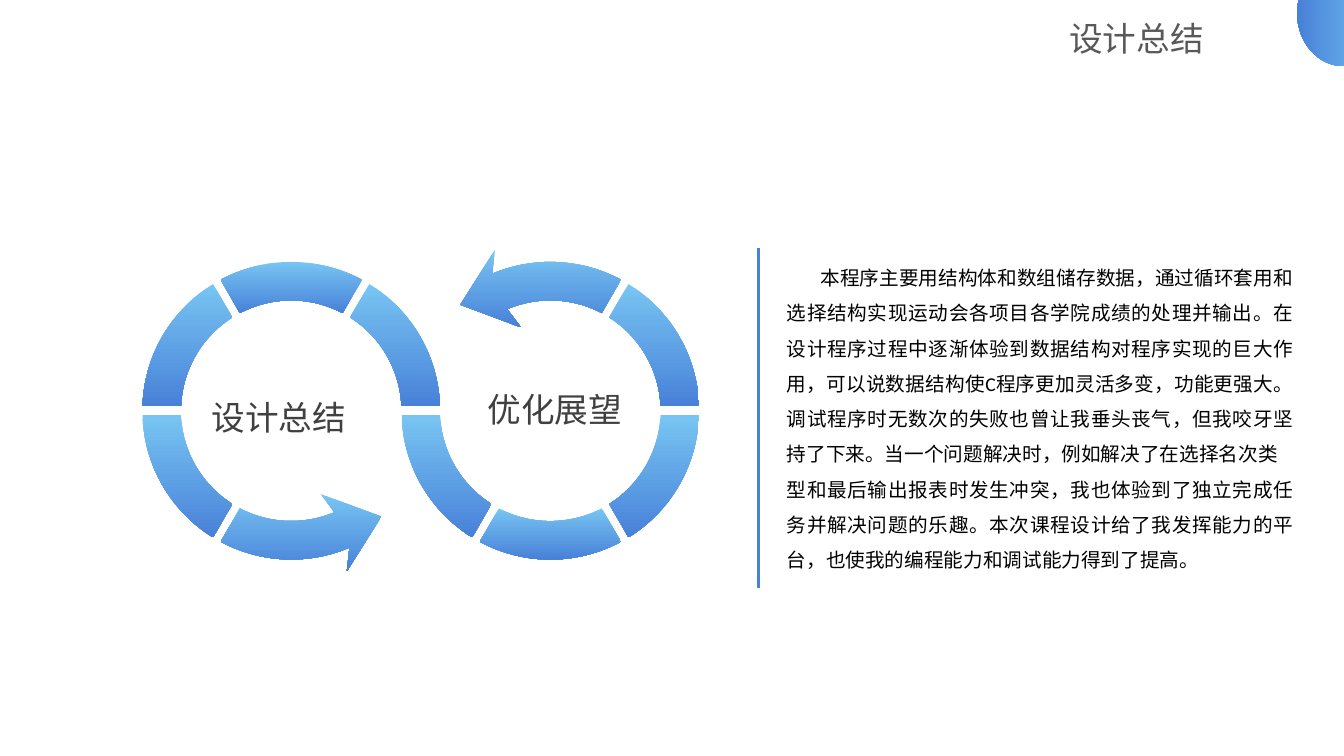
import math

import pptx
import pptx.dml.color
import pptx.enum.shapes
import pptx.enum.text
import pptx.oxml.ns
import pptx.util
from lxml import etree

Cm = pptx.util.Cm
RGBColor = pptx.dml.color.RGBColor
ALIGN = pptx.enum.text.PP_ALIGN
qn = pptx.oxml.ns.qn

SKY = RGBColor(0x78, 0xC5, 0xF3)
BLUE = RGBColor(0x48, 0x81, 0xD8)
DARK = RGBColor(0x40, 0x40, 0x40)
GREY = RGBColor(0x59, 0x59, 0x59)
BLACK = RGBColor(0, 0, 0)

OUTER, INNER, HALF_GAP = 3.75, 2.78, 0.11
CENTRE_Y = 10.35
LEFT_X, RIGHT_X = 7.34, 13.87
ARROW_HEAD = [[(1.4, 4.05)], [(2.27, 2.67)], [(0.74, 2.1)]]
ARROW_END = 293

SUMMARY = [
    "本程序主要用结构体和数组储存数据，通过循环套用和选择结构实现运动会各项目各学院成绩的处理并输出。"
    "在设计程序过程中逐渐体验到数据结构对程序实现的巨大作用，可以说数据结构使C程序更加灵活多变，功能更强大。"
    "调试程序时无数次的失败也曾让我垂头丧气，但我咬牙坚持了下来。"
    "当一个问题解决时，例如解决了在选择名次类",
    "型和最后输出报表时发生冲突，我也体验到了独立完成任务并解决问题的乐趣。"
    "本次课程设计给了我发挥能力的平台，也使我的编程能力和调试能力得到了提高。",
]


def paint(shape, angle):
    """Fill a shape with the blue gradient and remove its line and shadow."""
    shape.shadow.inherit = False
    shape.line.fill.background()
    shape.fill.gradient()
    shape.fill.gradient_angle = angle
    for stop, color, position in zip(shape.fill.gradient_stops, (SKY, BLUE), (0, 1)):
        stop.color.rgb = color
        stop.position = position


def arc(radius, start, end):
    """Return a start point and two curve steps, with angles in degrees and y down."""
    first, last = math.radians(start), math.radians(end)
    half = (last - first) / 2
    pull = 4 / 3 * math.tan(half / 4)

    def spot(angle, along):
        """Return a point of the arc moved along its tangent."""
        return (radius * (math.cos(angle) - along * math.sin(angle)),
                -radius * (math.sin(angle) + along * math.cos(angle)))

    return [[spot(first, 0)]] + [
        [spot(a, pull), spot(a + half, -pull), spot(a + half, 0)]
        for a in (first, first + half)]


def gap_angle(radius):
    """Return the angle that half a gap takes up at a radius."""
    return math.degrees(math.asin(HALF_GAP / radius))


def add_outline(group, centre_x, steps, turn=1):
    """Draw a closed gradient outline of lines and curves around a ring centre."""
    placed = [[(Cm(centre_x + turn * x), Cm(CENTRE_Y + turn * y)) for x, y in step]
              for step in steps]
    ends = [step[-1] for step in placed]
    builder = group.shapes.build_freeform(*ends[0])
    builder.add_line_segments(ends[1:], close=True)
    shape = builder.convert_to_shape()
    left, top = shape.left, shape.top
    for line, step in zip(list(shape._element.iter(qn("a:lnTo"))), placed[1:]):
        if len(step) == 3:
            curve = etree.Element(qn("a:cubicBezTo"))
            for x, y in step:
                etree.SubElement(curve, qn("a:pt"), x=str(x - left), y=str(y - top))
            line.getparent().replace(line, curve)
    paint(shape, 270)


def add_segment(group, centre_x, start):
    """Draw one sixth of a ring, with parallel gaps at both ends."""
    outer, inner = gap_angle(OUTER), gap_angle(INNER)
    end = start + 60
    add_outline(group, centre_x, arc(OUTER, start + outer, end - outer)
                + arc(INNER, end - inner, start + inner))


def add_arrow(group, centre_x, turn):
    """Draw the arrow segment, pointing right below or, with turn -1, left above."""
    steps = (arc(OUTER, 240 + gap_angle(OUTER), ARROW_END) + ARROW_HEAD
             + arc(INNER, ARROW_END, 240 + gap_angle(INNER)))
    add_outline(group, centre_x, steps, turn)


def add_ring(page, centre_x, starts, turn):
    """Draw a ring made of segments and one arrow."""
    group = page.shapes.add_group_shape()
    for start in starts:
        add_segment(group, centre_x, start)
    add_arrow(group, centre_x, turn)


def add_text(page, place, paragraphs, font, size, color, align, spacing=1.0):
    """Add a wrapped text box and return its paragraphs."""
    box = page.shapes.add_textbox(*(Cm(length) for length in place))
    box.text_frame.word_wrap = True
    box.text_frame.text = "\n".join(paragraphs)
    for para in box.text_frame.paragraphs:
        para.alignment = align
        para.line_spacing = spacing
        for span in para.runs:
            span.font.name = font
            span.font.size = pptx.util.Pt(size)
            span.font.color.rgb = color
    return box.text_frame.paragraphs


def add_divider(page, x, top, bottom):
    """Add the vertical blue line."""
    line = page.shapes.add_connector(
        pptx.enum.shapes.MSO_CONNECTOR.STRAIGHT, Cm(x), Cm(top), Cm(x), Cm(bottom))
    line.line.color.rgb = BLUE
    line.line.width = pptx.util.Pt(2.25)
    etree.SubElement(line._element.spPr, qn("a:effectLst"))


def add_corner(page):
    """Add the ellipse that runs off the top right corner."""
    ellipse = page.shapes.add_shape(
        pptx.enum.shapes.MSO_SHAPE.OVAL, Cm(32.69), Cm(-1), Cm(2.36), Cm(2.67))
    paint(ellipse, 180)


def main():
    """Build the slide and save it."""
    deck = pptx.Presentation()
    deck.slide_width, deck.slide_height = Cm(33.87), Cm(19.05)
    page = deck.slides.add_slide(deck.slide_layouts[6])
    add_ring(page, LEFT_X, (0, 60, 120, 180), 1)
    add_ring(page, RIGHT_X, (0, 180, 240, 300), -1)
    add_text(page, (4.93, 9.88, 4.19, 1.27), ["设计总结"], "Arial", 24, DARK, ALIGN.CENTER)
    add_text(page, (11.89, 9.68, 4.19, 1.27), ["优化展望"], "Arial", 24, DARK, ALIGN.CENTER)
    add_divider(page, 19.11, 6.25, 14.81)
    add_text(page, (26.7, 0.33, 5.64, 1.27), ["设计总结"], "Arial", 24, GREY, ALIGN.JUSTIFY)
    add_corner(page)
    opening = add_text(page, (19.58, 6.28, 13.26, 8.23), SUMMARY,
                       "Calibri", 14, BLACK, ALIGN.JUSTIFY, 1.5)[0]
    opening._p.get_or_add_pPr().set("indent", str(Cm(0.85)))
    deck.save("out.pptx")


main()
